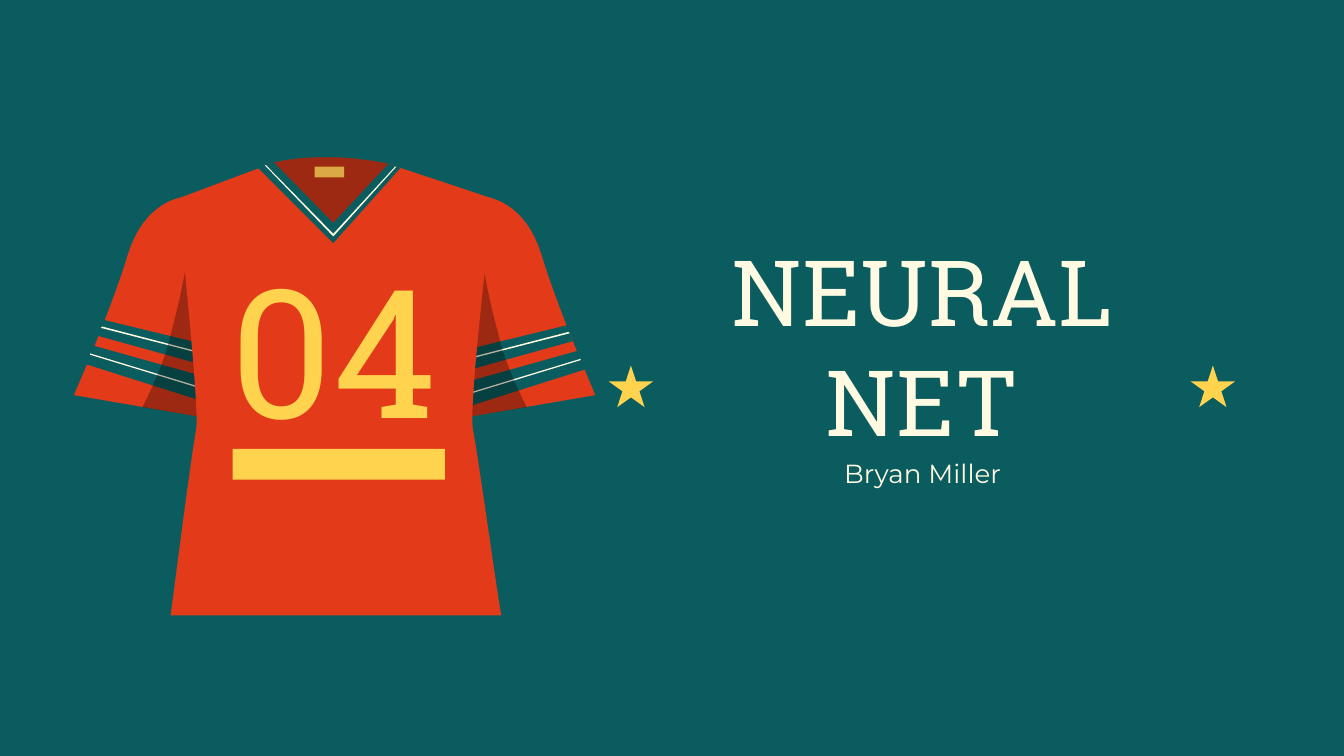
from pptx import Presentation
from pptx.dml.color import RGBColor
from pptx.enum import shapes, text
from pptx.oxml.xmlchemy import OxmlElement
from pptx.util import Inches, Pt

TEAL = RGBColor(0x0B, 0x5C, 0x5E)
RED = RGBColor(0xE3, 0x3B, 0x1A)
CREAM = RGBColor(0xFF, 0xFA, 0xE1)
YELLOW = RGBColor(0xFF, 0xD3, 0x4E)
GOLD = RGBColor(0xDB, 0xAA, 0x44)
BLACK = RGBColor(0, 0, 0)

CURVE_STEPS = 16
MIRROR_WIDTH = 4.98
STRIPE_MIRROR_WIDTH = 4.99
STRIPE_RISE = 0.04

SLEEVE = [(3.63, 1.47), (2.99, 1.7, 3.44, 3.11, 3.44, 3.11), (4.43, 2.94),
          (4.43, 2.94, 4.15, 2.3, 4.03, 1.9),
          (3.91, 1.5, 3.63, 1.47, 3.63, 1.47)]
SLEEVE_SHADE = [(3.52, 1.52), (3.04, 1.86, 3.44, 3.11, 3.44, 3.11),
                (3.92, 3.03), (3.83, 2.85, 3.75, 2.67, 3.71, 2.49),
                (3.66, 2.31, 3.62, 2.13, 3.59, 1.94),
                (3.56, 1.76, 3.55, 1.62, 3.52, 1.52)]
STRIPES = [
    ([(4.22, 2.42), (4.26, 2.54), (3.5, 2.75), (3.48, 2.6)], TEAL),
    ([(4.23, 2.47), (4.24, 2.48), (3.5, 2.67), (3.5, 2.66)], CREAM),
    ([(4.3, 2.61), (4.35, 2.75), (3.5, 3.02), (3.48, 2.84)], TEAL),
    ([(4.32, 2.67), (4.32, 2.68), (3.5, 2.93), (3.5, 2.92)], CREAM),
]
BODY = [(2.04, 1.21), (1.32, 1.48), (1.32, 1.48, 1.49, 3.04, 1.46, 3.2),
        (1.43, 3.34, 1.31, 4.28, 1.27, 4.58), (3.73, 4.58),
        (3.68, 4.28, 3.55, 3.34, 3.52, 3.2),
        (3.48, 3.04, 3.67, 1.48, 3.67, 1.48), (2.89, 1.22)]
NECK = [(2.42, 1.17), (2.18, 1.17, 2.04, 1.21, 2.04, 1.21),
        (1.95, 1.33, 2.48, 1.75, 2.48, 1.75),
        (2.7, 1.59, 2.89, 1.22, 2.89, 1.22),
        (2.71, 1.18, 2.55, 1.17, 2.42, 1.17)]
COLLAR = [(2.04, 1.21), (1.92, 1.25), (2.48, 1.81), (2.98, 1.25),
          (2.89, 1.22), (2.48, 1.66)]
COLLAR_LINE = [(1.98, 1.23), (1.97, 1.23), (2.48, 1.76), (2.95, 1.24),
               (2.94, 1.24), (2.48, 1.74)]


def mirror(outline, width, rise=0):
    return [tuple(width - v if i % 2 == 0 else v - rise
                  for i, v in enumerate(step)) for step in outline]


def flatten(outline):
    points = []
    for step in outline:
        if len(step) == 2:
            points.append(step)
            continue
        controls = [points[-1], step[:2], step[2:4], step[4:]]
        for n in range(1, CURVE_STEPS + 1):
            t = n / CURVE_STEPS
            weights = ((1 - t) ** 3, 3 * t * (1 - t) ** 2,
                       3 * t ** 2 * (1 - t), t ** 3)
            points.append(tuple(sum(w * c[axis] for w, c in zip(weights, controls))
                                for axis in (0, 1)))
    return points


def paint(sp, color, opacity=None):
    sp.shadow.inherit = False
    sp.fill.solid()
    sp.fill.fore_color.rgb = color
    sp.line.fill.background()
    if opacity is not None:
        alpha = OxmlElement("a:alpha")
        alpha.set("val", str(opacity * 1000))
        sp.fill._xPr.solidFill[0].append(alpha)


def add_outline(s, outline, color, opacity=None):
    points = [(Inches(x), Inches(y)) for x, y in flatten(outline)]
    builder = s.shapes.build_freeform(*points[0])
    builder.add_line_segments(points[1:], close=True)
    paint(builder.convert_to_shape(), color, opacity)


def add_preset(s, kind, box, color):
    paint(s.shapes.add_shape(kind, *map(Inches, box)), color)


def add_label(s, words, box, font, size, color):
    tf = s.shapes.add_textbox(*map(Inches, box)).text_frame
    tf.word_wrap = True
    tf.vertical_anchor = text.MSO_ANCHOR.TOP
    tf.margin_left = tf.margin_right = Inches(0.04)
    tf.margin_top = tf.margin_bottom = Inches(0.04)
    p = tf.paragraphs[0]
    p.text = words
    p.alignment = text.PP_ALIGN.CENTER
    p.font.name = font
    p.font.size = Pt(size)
    p.font.color.rgb = color


def add_sleeves(s):
    add_outline(s, SLEEVE, RED)
    for stripe, color in STRIPES:
        add_outline(s, stripe, color)
    add_outline(s, SLEEVE_SHADE, BLACK, 30)
    add_outline(s, mirror(SLEEVE, MIRROR_WIDTH), RED)
    for stripe, color in STRIPES:
        add_outline(s, mirror(stripe, STRIPE_MIRROR_WIDTH, STRIPE_RISE), color)
    add_outline(s, mirror(SLEEVE_SHADE, MIRROR_WIDTH), BLACK, 30)


def add_jersey(s):
    add_sleeves(s)
    add_outline(s, BODY, RED)
    add_outline(s, NECK, RED)
    add_outline(s, NECK, BLACK, 30)
    add_outline(s, COLLAR, TEAL)
    add_outline(s, COLLAR_LINE, CREAM)
    add_preset(s, shapes.MSO_SHAPE.RECTANGLE, (2.34, 1.24, 0.22, 0.08), GOLD)


def main():
    prs = Presentation()
    prs.slide_width = Inches(10)
    prs.slide_height = prs.slide_width * 9 // 16
    s = prs.slides.add_slide(prs.slide_layouts[6])
    s.background.fill.solid()
    s.background.fill.fore_color.rgb = TEAL

    add_jersey(s)
    add_label(s, "Bryan Miller", (5.18, 3.36, 3.37, 0.56), "Montserrat", 14, CREAM)
    add_label(s, "NEURAL\vNET", (4.5, 1.71, 4.72, 1.59), "Roboto Slab", 49, CREAM)
    for left in (4.53, 8.86):
        add_preset(s, shapes.MSO_SHAPE.STAR_5_POINT, (left, 2.72, 0.33, 0.31), YELLOW)
    add_label(s, "04", (1.32, 1.74, 2.33, 1.59), "Roboto Slab", 96, YELLOW)
    add_preset(s, shapes.MSO_SHAPE.RECTANGLE, (1.73, 3.34, 1.58, 0.23), YELLOW)
    prs.save("out.pptx")


if __name__ == "__main__":
    main()
